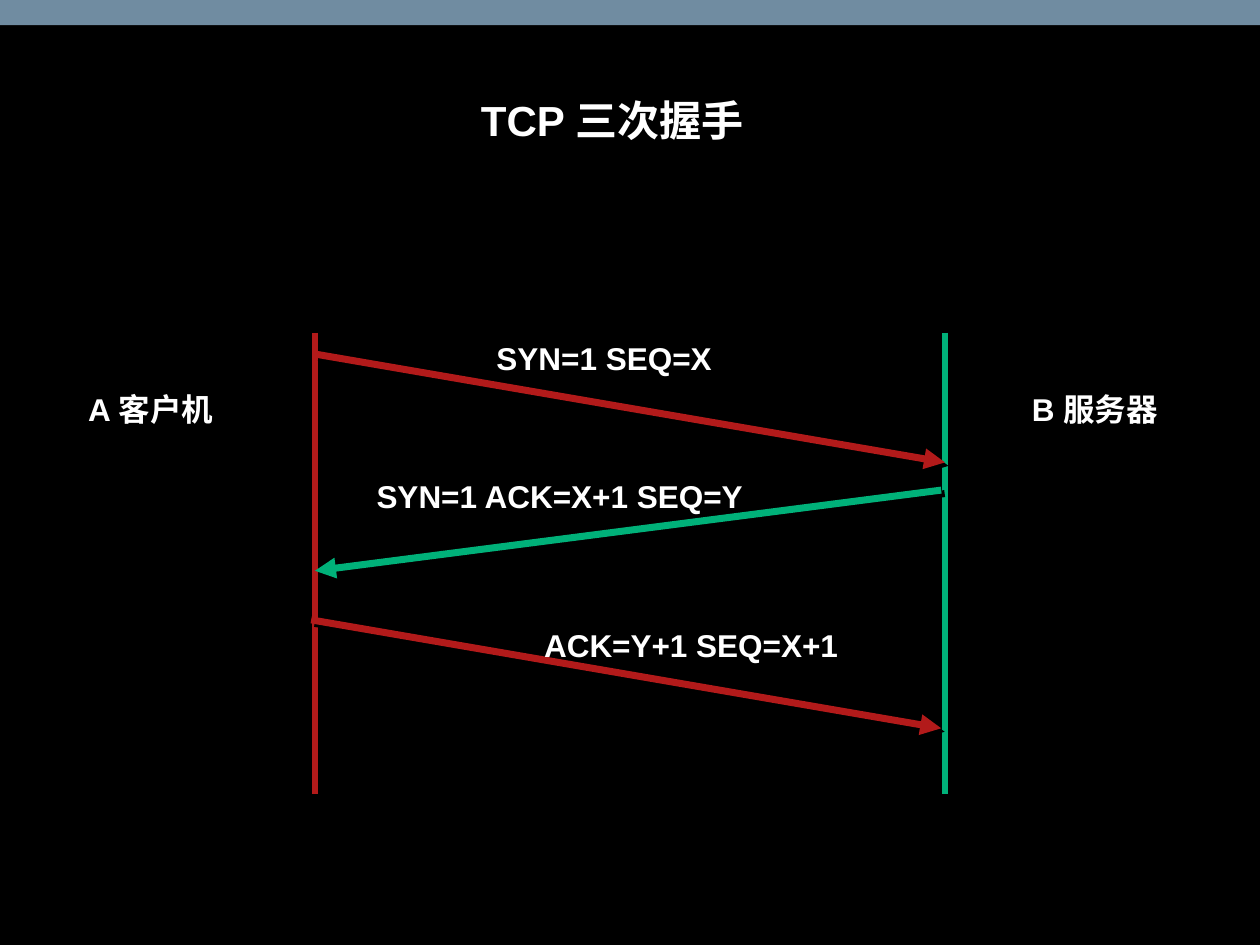
from lxml import etree
from pptx import Presentation
from pptx import util as u
from pptx.dml.color import RGBColor
from pptx.enum import shapes, text
from pptx.oxml.ns import qn

CLIENT_RED = "B21A1A"
SERVER_GREEN = "00B179"
WHITE = "FFFFFF"


def color(hex_value):
    return RGBColor.from_string(hex_value)


def fill_label(box, wording, size, align):
    frame = box.text_frame
    frame.text = wording
    frame.word_wrap = False
    frame.auto_size = text.MSO_AUTO_SIZE.SHAPE_TO_FIT_TEXT
    frame.vertical_anchor = text.MSO_ANCHOR.TOP
    paragraph = frame.paragraphs[0]
    paragraph.alignment = align
    paragraph.line_spacing = 1.0
    font = paragraph.runs[0].font
    font.name, font.size, font.bold = "Arial", u.Pt(size), True
    font.color.rgb = color(WHITE)


def add_label(slide, left, top, width, wording, align=text.PP_ALIGN.CENTER):
    box = slide.shapes.add_textbox(
        u.Inches(left), u.Inches(top), u.Inches(width), u.Inches(0.4))
    fill_label(box, wording, 18, align)


def add_line(slide, start, end, hex_value, arrow=False):
    line = slide.shapes.add_connector(
        shapes.MSO_CONNECTOR.STRAIGHT, *map(u.Inches, (*start, *end)))
    line.line.color.rgb = color(hex_value)
    line.line.width = u.Pt(4)
    if arrow:
        etree.SubElement(line.line._get_or_add_ln(), qn("a:tailEnd"), type="triangle")
    # Hard black shadow, 2.8 pt to the lower right
    effects = etree.SubElement(line._element.spPr, qn("a:effectLst"))
    shadow = etree.SubElement(effects, qn("a:outerShdw"), blurRad="0",
                              dist=str(u.Pt(2.8)), dir="2700000",
                              algn="ctr", rotWithShape="0")
    etree.SubElement(shadow, qn("a:srgbClr"), val="000000")


def add_header(slide, left, top, width, height):
    # Band along the top edge
    band = slide.shapes.add_shape(
        shapes.MSO_SHAPE.RECTANGLE, 0, 0, u.Inches(10), u.Inches(0.2))
    band.shadow.inherit = False
    band.fill.solid()
    band.fill.fore_color.rgb = color("708CA1")
    band.line.fill.background()

    # Slide title
    title = slide.shapes.title
    title.left, title.top = u.Inches(left), u.Inches(top)
    title.width, title.height = u.Inches(width), u.Inches(height)
    fill_label(title, "TCP 三次握手", 24, text.PP_ALIGN.CENTER)


def add_handshake(slide, left, top, width, height):
    right = left + width

    # Lifelines of client and server
    for x, hex_value in ((left, CLIENT_RED), (right, SERVER_GREEN)):
        add_line(slide, (x, top), (x, top + height), hex_value)

    # Messages: start, end, colour, label offset, label width, wording, alignment
    center, flush = text.PP_ALIGN.CENTER, text.PP_ALIGN.LEFT
    messages = (
        ((0, 0.17), (width, 1.03), CLIENT_RED,
         (1.33, 0), 1.93, "SYN=1 SEQ=X", center),
        ((width - 0.03, 1.25), (0, 1.89), SERVER_GREEN,
         (0.39, 1.1), 3.14, "SYN=1 ACK=X+1 SEQ=Y", flush),
        ((-0.03, 2.28), (width - 0.03, 3.14), CLIENT_RED,
         (1.72, 2.28), 2.56, "ACK=Y+1 SEQ=X+1", flush),
    )
    for start, end, hex_value, offset, label_width, wording, align in messages:
        add_line(slide, (left + start[0], top + start[1]),
                 (left + end[0], top + end[1]), hex_value, arrow=True)
        add_label(slide, left + offset[0], top + offset[1], label_width, wording, align)

    # Names of the two hosts
    add_label(slide, left - 1.91, top + 0.41, 1.21, "A 客户机")
    add_label(slide, right + 0.58, top + 0.41, 1.22, "B 服务器")


def main():
    deck = Presentation()
    deck.slide_width, deck.slide_height = u.Inches(10), u.Inches(7.5)
    slide = deck.slides.add_slide(deck.slide_layouts[5])
    slide.background.fill.solid()
    slide.background.fill.fore_color.rgb = color("000000")
    add_header(slide, 3.7, 0.7, 2.32, 0.51)
    add_handshake(slide, 2.5, 2.64, 5, 3.66)
    deck.save("out.pptx")


if __name__ == "__main__":
    main()
